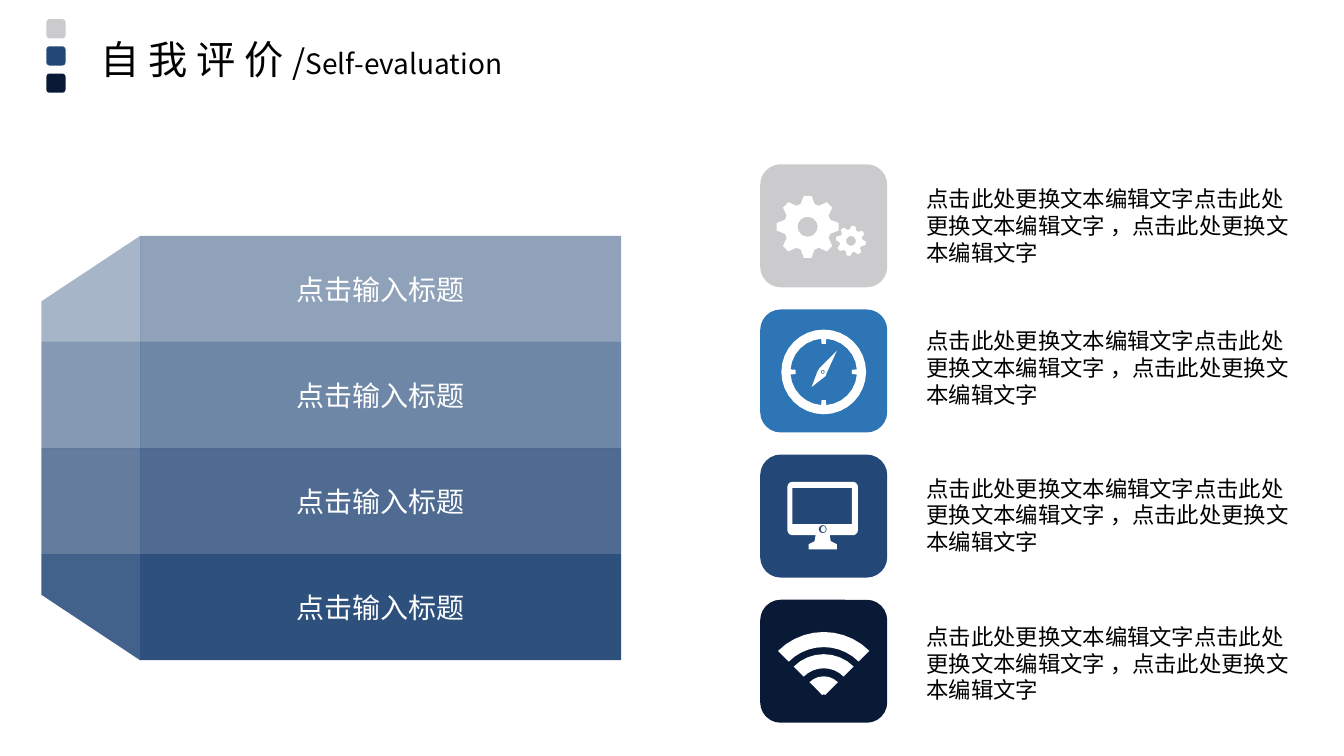
from dataclasses import dataclass
from math import cos, pi, radians, sin

from lxml.etree import SubElement
from pptx import Presentation
from pptx.dml.color import RGBColor
from pptx.enum.shapes import MSO_SHAPE
from pptx.enum.text import MSO_ANCHOR, MSO_AUTO_SIZE, PP_ALIGN
from pptx.oxml.ns import qn
from pptx.util import Inches, Pt


@dataclass(frozen=True)
class Theme:
    font: str = "Noto Sans CJK SC"
    black: str = "000000"
    white: str = "FFFFFF"
    grey: str = "CBCBCD"
    blue: str = "2E75B6"
    navy: str = "234777"
    dark: str = "091A36"
    title: int = 28
    slash: int = 24
    label: int = 20
    body: int = 16
    title_line: float = 34
    body_line: float = 19.2


THEME = Theme()
BODY = "点击此处更换文本编辑文字点击此处更换文本编辑文字 ，点击此处更换文本编辑文字"
LABEL = "点击输入标题"


def paint(sp, color, alpha=100):
    sp.shadow.inherit = False
    sp.fill.solid()
    sp.fill.fore_color.rgb = RGBColor.from_string(color)
    sp.line.fill.background()
    if alpha < 100:
        clr = sp.fill._xPr.find(qn("a:solidFill"))[0]
        SubElement(clr, qn("a:alpha")).set("val", str(alpha * 1000))
    return sp


def add_box(s, kind, x, y, w, h, color, alpha=100):
    sp = s.shapes.add_shape(kind, Inches(x), Inches(y), Inches(w), Inches(h))
    return paint(sp, color, alpha)


def add_outline(s, contours, color, alpha=100):
    first, *holes = [[(Inches(x), Inches(y)) for x, y in c] for c in contours]
    builder = s.shapes.build_freeform(*first[0])
    builder.add_line_segments(first[1:], close=True)
    for hole in holes:
        builder.move_to(*hole[0])
        builder.add_line_segments(hole[1:], close=True)
    return paint(builder.convert_to_shape(), color, alpha)


def add_run(p, text, size, color):
    r = p.add_run()
    r.text = text
    formats = {"name": THEME.font, "size": Pt(size)}
    for key, value in formats.items():
        setattr(r.font, key, value)
    r.font.color.rgb = RGBColor.from_string(color)
    SubElement(r._r.get_or_add_rPr(), qn("a:ea")).set("typeface", THEME.font)


def add_text(s, x, y, w, h, runs, line):
    tf = s.shapes.add_textbox(Inches(x), Inches(y), Inches(w), Inches(h)).text_frame
    formats = {"word_wrap": True, "auto_size": MSO_AUTO_SIZE.SHAPE_TO_FIT_TEXT}
    for key, value in formats.items():
        setattr(tf, key, value)
    p = tf.paragraphs[0]
    p.line_spacing = Pt(line)
    for text, size in runs:
        add_run(p, text, size, THEME.black)


def polar(cx, cy, radius, degrees):
    angle = radians(degrees)
    return cx + radius * sin(angle), cy - radius * cos(angle)


def arc(cx, cy, radius, start, end, steps):
    return [polar(cx, cy, radius, start + (end - start) * i / steps)
            for i in range(steps + 1)]


def circle(cx, cy, radius, steps):
    return arc(cx, cy, radius, 0, 360, steps)[:-1]


def add_gear(s, cx, cy, radius, turn):
    tooth = [(-17, 0.76), (-7, 1), (7, 1), (17, 0.76)]
    rim = [polar(cx, cy, radius * part, turn + 45 * i + degrees)
           for i in range(8) for degrees, part in tooth]
    add_outline(s, [rim, circle(cx, cy, radius * 0.32, 16)], THEME.white)


def add_gears(s):
    add_gear(s, 8.01, 2.25, 0.31, 0)
    add_gear(s, 8.44, 2.39, 0.15, 10)


def add_compass(s):
    cx, cy, inner, tick = 8.17, 3.69, 0.33, 0.28
    half = 0.025 / inner * 180 / pi
    notched = []
    for turn in range(0, 360, 90):
        notched += [polar(cx, cy, tick, turn - half), polar(cx, cy, tick, turn + half)]
        notched += arc(cx, cy, inner, turn + half, turn + 90 - half, 6)
    add_outline(s, [circle(cx, cy, 0.42, 32), notched], THEME.white)
    needle = [(8.11, 3.68), (8.05, 3.84), (8.19, 3.73), (8.2, 3.7),
              (8.3, 3.48), (8.13, 3.65)]
    add_outline(s, [needle, circle(8.16, 3.69, 0.02, 8)], THEME.white)
    add_box(s, MSO_SHAPE.OVAL, 8.15, 3.68, 0.02, 0.02, THEME.white)


def add_monitor(s):
    left, right, top, bottom, r = 7.81, 8.51, 4.78, 5.31, 0.05
    body = (arc(left + r, top + r, r, -90, 0, 3)
            + arc(right - r, top + r, r, 0, 90, 3)
            + arc(right - r, bottom - r, r, 90, 180, 3))
    stand = [(8.23, 5.31), (8.24, 5.37), (8.3, 5.4), (8.3, 5.45),
             (8.02, 5.45), (8.02, 5.4), (8.08, 5.37), (8.09, 5.31)]
    corner = arc(left + r, bottom - r, r, 180, 270, 3)
    screen = [(7.86, 4.84), (8.45, 4.84), (8.45, 5.2), (7.86, 5.2)]
    add_outline(s, [body + stand + corner, screen, circle(8.16, 5.25, 0.04, 12)],
                THEME.white)
    add_box(s, MSO_SHAPE.OVAL, 8.14, 5.22, 0.05, 0.06, THEME.white)


def add_signal(s):
    cx, cy = 8.17, 6.91
    for inner, outer, steps in [(0.02, 0.2, 6), (0.28, 0.42, 8), (0.49, 0.64, 10)]:
        band = arc(cx, cy, outer, -45, 45, steps) + arc(cx, cy, inner, 45, -45, steps)
        add_outline(s, [band], THEME.white)


def add_header(s):
    runs = [("自 我 评 价 ", THEME.title), ("/", THEME.slash),
            ("Self-evaluation", THEME.label)]
    add_text(s, 0.9, 0.3, 5.01, 0.57, runs, THEME.title_line)
    for i, color in enumerate([THEME.grey, THEME.navy, THEME.dark]):
        add_box(s, MSO_SHAPE.ROUNDED_RECTANGLE, 0.46, 0.19 + 0.27 * i, 0.19, 0.19, color)


def add_block(s):
    left, fold, top, height, width, slant = 0.41, 1.39, 2.34, 4.21 / 4, 4.77, 0.65
    for i in range(4):
        y = top + i * height
        end = y + height
        alpha = 40 + 15 * i
        if i in (1, 2):
            add_box(s, MSO_SHAPE.RECTANGLE, left, y, fold - left, height, THEME.navy, alpha)
        else:
            upper, lower = (y + slant, end) if i == 0 else (y, end - slant)
            side = [(left, upper), (fold, y), (fold, end), (left, lower)]
            add_outline(s, [side], THEME.navy, alpha)
        sp = add_box(s, MSO_SHAPE.RECTANGLE, fold, y, width, height, THEME.navy, alpha + 10)
        tf = sp.text_frame
        tf.vertical_anchor = MSO_ANCHOR.MIDDLE
        p = tf.paragraphs[0]
        p.alignment = PP_ALIGN.CENTER
        add_run(p, LABEL, THEME.label, THEME.white)


def add_items(s):
    items = [(THEME.grey, add_gears, 1.79), (THEME.blue, add_compass, 3.2),
             (THEME.navy, add_monitor, 4.66), (THEME.dark, add_signal, 6.13)]
    for i, (color, add_icon, text_top) in enumerate(items):
        add_box(s, MSO_SHAPE.ROUNDED_RECTANGLE, 7.54, 1.63 + 1.44 * i, 1.26, 1.22, color)
        add_icon(s)
        add_text(s, 9.09, text_top, 3.91, 0.91, [(BODY, THEME.body)], THEME.body_line)


def main():
    prs = Presentation()
    prs.slide_width, prs.slide_height = Inches(13.33), Inches(7.5)
    s = prs.slides.add_slide(prs.slide_layouts[6])
    add_header(s)
    add_block(s)
    add_items(s)
    prs.save("out.pptx")


if __name__ == "__main__":
    main()
